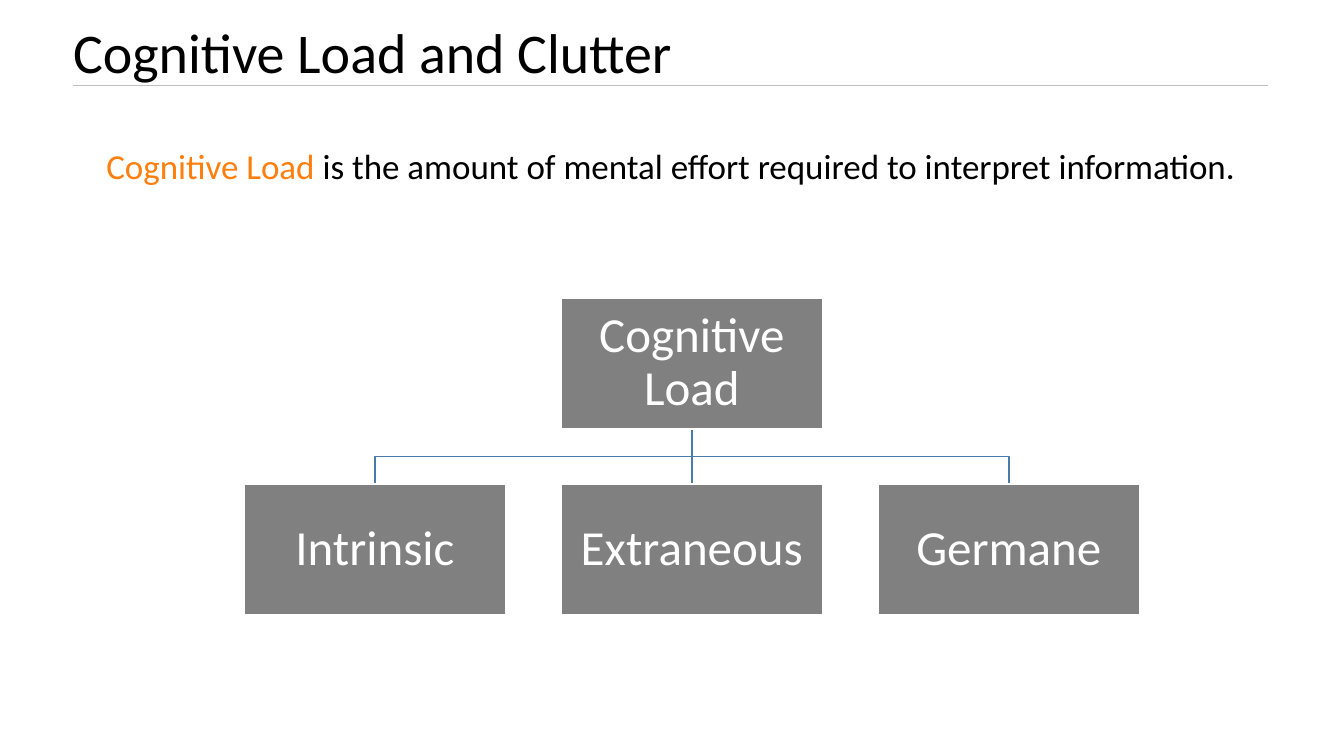
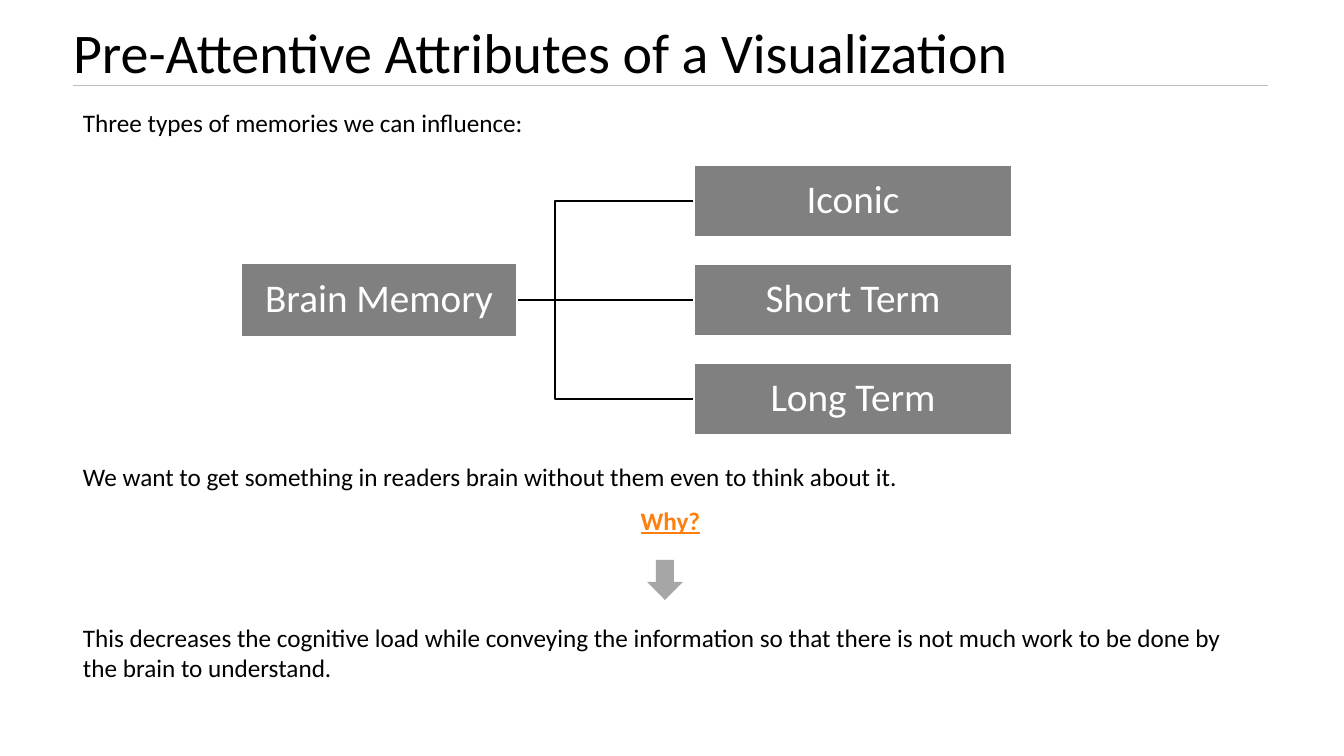
from lxml import etree
from pptx import Presentation
from pptx.dml.color import RGBColor
from pptx.enum.shapes import MSO_CONNECTOR, MSO_SHAPE
from pptx.enum.text import MSO_ANCHOR, PP_ALIGN
from pptx.oxml.ns import qn
from pptx.util import Emu, Pt

STRAIGHT = MSO_CONNECTOR.STRAIGHT
RECT, DOWN_ARROW = MSO_SHAPE.RECTANGLE, MSO_SHAPE.DOWN_ARROW
TOP, MIDDLE, BOTTOM = MSO_ANCHOR.TOP, MSO_ANCHOR.MIDDLE, MSO_ANCHOR.BOTTOM
LEFT, CENTER = PP_ALIGN.LEFT, PP_ALIGN.CENTER

BLACK = RGBColor(0x00, 0x00, 0x00)
WHITE = RGBColor(0xFF, 0xFF, 0xFF)
ORANGE = RGBColor(0xFF, 0x7F, 0x0E)
BLUE = RGBColor(0x49, 0x7C, 0xAB)
BOX_GRAY = RGBColor(0x80, 0x80, 0x80)
ARROW_GRAY = RGBColor(0xA6, 0xA6, 0xA6)
RULE_GRAY = RGBColor(0xBF, 0xBF, 0xBF)

FONT = "Calibri"
PX_PER_INCH = 100.8
SLIDE_W, SLIDE_H = 1344, 756
BODY_X, BODY_W = 73, 1195


def px(n):
    return Emu(round(n * 914400 / PX_PER_INCH))


def write(shape, text, *, size, color=BLACK, align=LEFT, anchor=TOP,
          line_spacing=1.0, margins=(10, 5), bold=False, underline=False):
    """Fill a shape with one paragraph; text is a string or (text, color) runs."""
    tf = shape.text_frame
    tf.word_wrap = True
    tf.vertical_anchor = anchor
    tf.margin_left = tf.margin_right = px(margins[0])
    tf.margin_top = tf.margin_bottom = px(margins[1])
    p = tf.paragraphs[0]
    p.alignment = align
    p.line_spacing = line_spacing
    runs = [(text, color)] if isinstance(text, str) else text
    for content, run_color in runs:
        r = p.add_run()
        r.text = content
        r.font.name = FONT
        r.font.size = Pt(size)
        r.font.bold = bold
        r.font.underline = underline
        r.font.color.rgb = run_color


def add_text(s, x, y, w, h, text, **fmt):
    write(s.shapes.add_textbox(px(x), px(y), px(w), px(h)), text, **fmt)


def add_line(s, x1, y1, x2, y2, color, width=1):
    line = s.shapes.add_connector(STRAIGHT, px(x1), px(y1), px(x2), px(y2))
    line.line.color.rgb = color
    line.line.width = Pt(width)
    etree.SubElement(line._element.spPr, qn("a:effectLst"))


def add_elbow(s, points, color):
    """Draw an open, unfilled line through the points."""
    start, *rest = [(px(x), px(y)) for x, y in points]
    builder = s.shapes.build_freeform(*start)
    builder.add_line_segments(rest, close=False)
    sp = builder.convert_to_shape()
    sp.shadow.inherit = False
    sp.fill.background()
    sp.line.color.rgb = color
    sp.line.width = Pt(1)


def add_shape(s, kind, x, y, w, h, fill):
    sp = s.shapes.add_shape(kind, px(x), px(y), px(w), px(h))
    sp.shadow.inherit = False
    sp.fill.solid()
    sp.fill.fore_color.rgb = fill
    sp.line.fill.background()
    return sp


def add_node(s, x, y, w, h, label, size):
    sp = add_shape(s, RECT, x, y, w, h, BOX_GRAY)
    sp.line.color.rgb = WHITE
    sp.line.width = Pt(1)
    write(sp, label, size=size, color=WHITE, align=CENTER, anchor=MIDDLE,
          line_spacing=0.9, margins=(2, 2))


def add_titled_slide(prs, title):
    s = prs.slides.add_slide(prs.slide_layouts[6])
    add_text(s, 63, 12, 1206, 79, title, size=40, anchor=BOTTOM, line_spacing=0.9)
    add_line(s, BODY_X, 85, BODY_X + BODY_W, 85, RULE_GRAY, 0.5)
    return s


def add_load_tree(s):
    """Root box above a row of three boxes."""
    w, h, step = 262, 131, 317
    left, root_y, child_y = 244, 298, 484
    labels = ["Intrinsic", "Extraneous", "Germane"]
    xs = [left + i * step for i in range(len(labels))]
    first, middle, last = [x + w / 2 for x in xs]
    root_bottom = root_y + h
    bus_y = (root_bottom + child_y) / 2
    for center in (last, first):
        add_elbow(s, [(middle, root_bottom), (middle, bus_y),
                      (center, bus_y), (center, child_y)], BLUE)
    add_line(s, middle, root_bottom, middle, child_y, BLUE)
    add_node(s, xs[1], root_y, w, h, "Cognitive Load", 35)
    for x, label in zip(xs, labels):
        add_node(s, x, child_y, w, h, label, 35)


def add_memory_tree(s):
    """Root box to the left of a column of three boxes."""
    root_x, root_w, root_h = 241, 276, 73
    child_x, child_w, child_h = 694, 318, 71
    first_center, step = 201, 99
    line_x, bus_x = 415, 555
    labels = ["Iconic", "Short Term", "Long Term"]
    centers = [first_center + i * step for i in range(len(labels))]
    first, middle, last = centers
    for center in (last, first):
        add_elbow(s, [(line_x, middle), (bus_x, middle),
                      (bus_x, center), (child_x, center)], BLACK)
    add_line(s, line_x, middle, child_x, middle, BLACK)
    add_node(s, root_x, middle - root_h / 2, root_w, root_h, "Brain Memory", 28)
    for center, label in zip(centers, labels):
        add_node(s, child_x, center - child_h / 2, child_w, child_h, label, 28)


def build_cognitive_load(prs):
    s = add_titled_slide(prs, "Cognitive Load and Clutter")
    definition = [
        ("Cognitive Load", ORANGE),
        (" is the amount of mental effort required to interpret information.", BLACK),
    ]
    add_text(s, BODY_X, 140, BODY_W, 52, definition, size=25, align=CENTER)
    add_load_tree(s)


def build_attributes(prs):
    s = add_titled_slide(prs, "Pre-Attentive Attributes of a Visualization")
    add_memory_tree(s)
    add_text(s, BODY_X, 102, BODY_W, 41,
             "Three types of memories we can influence:", size=18)
    add_text(s, BODY_X, 456, BODY_W, 41,
             "We want to get something in readers brain without them even to "
             "think about it.", size=18)
    add_text(s, BODY_X, 500, BODY_W, 41, "Why?", size=18, color=ORANGE,
             align=CENTER, bold=True, underline=True)
    add_shape(s, DOWN_ARROW, 647, 560, 36, 40, ARROW_GRAY)
    add_text(s, BODY_X, 617, BODY_W, 72,
             "This decreases the cognitive load while conveying the information "
             "so that there is not much work to be done by the brain to "
             "understand.", size=18)


def main():
    prs = Presentation()
    prs.slide_width, prs.slide_height = px(SLIDE_W), px(SLIDE_H)
    build_cognitive_load(prs)
    build_attributes(prs)
    prs.save("out.pptx")


if __name__ == "__main__":
    main()
